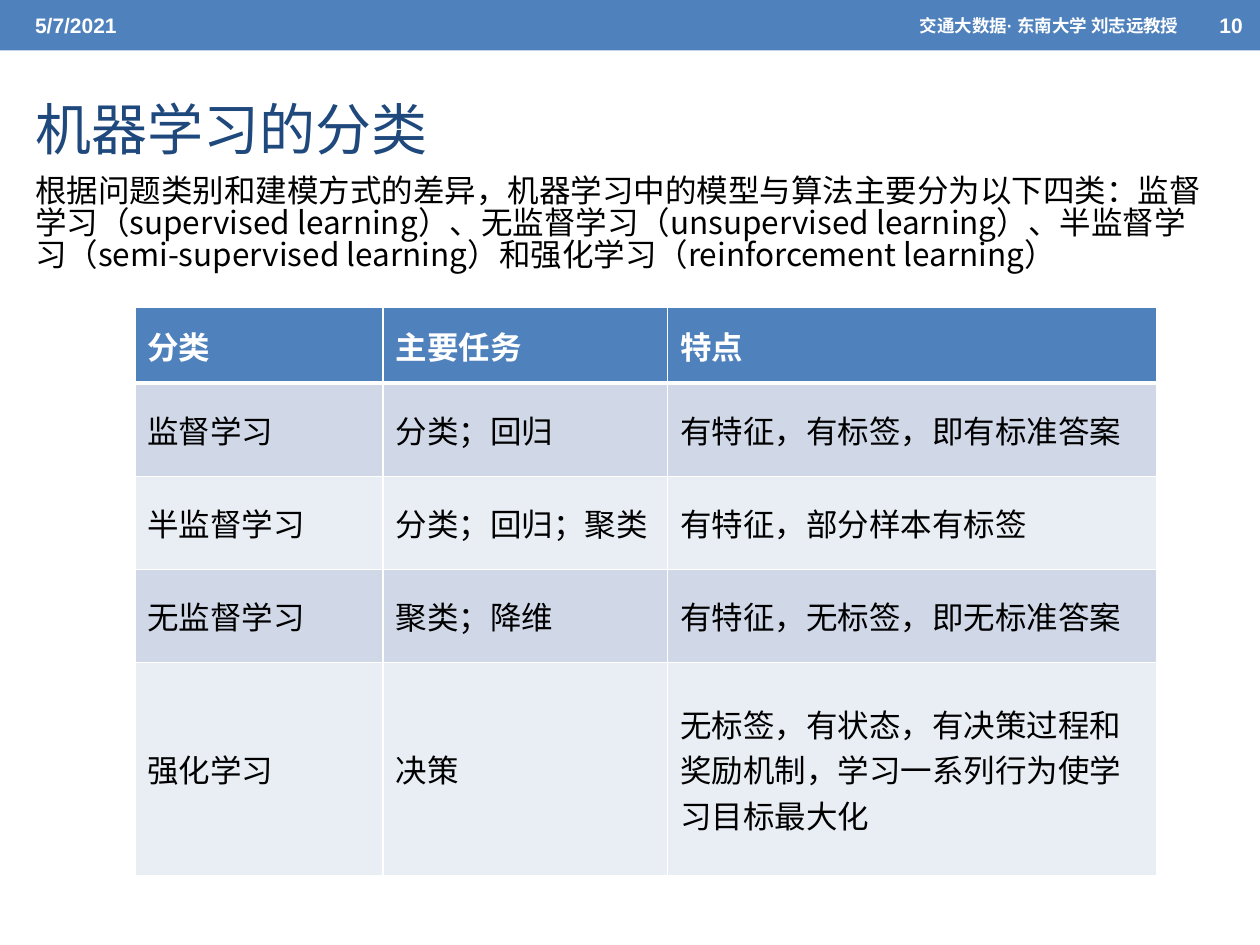
"""Build a slide that sorts machine learning into four classes."""
from lxml import etree
from pptx import Presentation
from pptx import util as u
from pptx.dml import color
from pptx.enum import shapes, text
from pptx.oxml import ns

CJK = "Noto Sans CJK SC"
BLUE, NAVY, WHITE, BLACK = "4F81BD", "1F497D", "FFFFFF", "000000"
BANDS = ("D0D8E8", "E9EDF4")
MID = text.MSO_ANCHOR.MIDDLE
LEFT, RIGHT = text.PP_ALIGN.LEFT, text.PP_ALIGN.RIGHT


def paint(part, hue):
    """Give a fill or font a solid hex colour."""
    fill = getattr(part, "fill", part)
    fill.solid()
    fill.fore_color.rgb = color.RGBColor.from_string(hue)


def write(frame, words, size=18, face=CJK, hue=BLACK, bold=False, align=LEFT, space=None):
    """Put formatted words in a text frame."""
    para = frame.paragraphs[0]
    para.alignment = align
    if space:
        para.line_spacing = space
    run = para.add_run()
    run.text = words
    font = run.font
    font.size, font.name, font.bold = u.Pt(size), face, bold
    paint(font, hue)
    east = etree.SubElement(run._r.get_or_add_rPr(), ns.qn("a:ea"))
    east.set("typeface", CJK)


def edge(cell, low):
    """Draw white cell borders, with the lower one in its own width."""
    props = cell._tc.get_or_add_tcPr()
    for spot, (side, wide) in enumerate((("L", 1), ("R", 1), ("T", 1), ("B", low))):
        line = etree.Element(ns.qn(f"a:ln{side}"), w=str(u.Pt(wide)))
        solid = etree.SubElement(line, ns.qn("a:solidFill"))
        etree.SubElement(solid, ns.qn("a:srgbClr"), val=WHITE)
        props.insert(spot, line)


class Deck:
    """Hold the file, the current slide and its element methods."""

    def __init__(self):
        """Start a file with one title slide."""
        self.prs = Presentation()
        self.prs.slide_width, self.prs.slide_height = u.Inches(10), u.Inches(7.5)
        self.slide = self.prs.slides.add_slide(self.prs.slide_layouts[5])

    def bar(self, box, hue):
        """Add a plain filled band."""
        band = self.slide.shapes.add_shape(shapes.MSO_SHAPE.RECTANGLE, *map(u.Inches, box))
        band.shadow.inherit = False
        paint(band, hue)
        band.line.fill.background()

    def title(self, box, words, **style):
        """Place and fill the title."""
        head = self.slide.shapes.title
        head.left, head.top, head.width, head.height = map(u.Inches, box)
        frame = head.text_frame
        frame.auto_size = text.MSO_AUTO_SIZE.NONE
        frame.vertical_anchor = MID
        write(frame, words, **style)

    def label(self, box, words, anchor=MID, **style):
        """Add a wrapped text box."""
        frame = self.slide.shapes.add_textbox(*map(u.Inches, box)).text_frame
        frame.word_wrap = True
        frame.vertical_anchor = anchor
        write(frame, words, **style)

    def table(self, box, cols, highs, rows):
        """Add a banded table with a header row."""
        grid = self.slide.shapes.add_table(len(rows), len(cols), *map(u.Inches, box)).table
        for col, wide in zip(grid.columns, cols):
            col.width = u.Inches(wide)
        for row, (line, high, words) in enumerate(zip(grid.rows, highs, rows)):
            line.height = u.Inches(high)
            top = row == 0
            for cell, word in zip(line.cells, words):
                cell.vertical_anchor = MID
                paint(cell, BLUE if top else BANDS[(row - 1) % 2])
                edge(cell, 3 if top else 1)
                write(cell.text_frame, word, hue=WHITE if top else BLACK, bold=top)


def main():
    """Build and save the slide."""
    deck = Deck()
    deck.bar((0, 0, 10, 0.4), BLUE)
    strip = dict(face="Arial", hue=WHITE, bold=True)
    deck.label((0.18, 0.02, 3.17, 0.36), "5/7/2021", size=12, **strip)
    deck.label((4.17, 0.02, 5.28, 0.36), "交通大数据· 东南大学 刘志远教授",
               size=10, align=RIGHT, **strip)
    deck.label((9.58, 0.02, 0.42, 0.36), "10", size=12, **strip)
    deck.title((0.18, 0.48, 9, 1.08), "机器学习的分类", size=32, hue=NAVY)
    deck.label((0.18, 1.36, 9.49, 1.01),
               "根据问题类别和建模方式的差异，机器学习中的模型与算法主要分为以下四类：监督 "
               "学习（supervised learning）、无监督学习（unsupervised learning）、"
               "半监督学习（semi-supervised learning）和强化学习（reinforcement learning）",
               anchor=text.MSO_ANCHOR.TOP, space=0.84)
    deck.table((1.07, 2.44, 8.11, 4.5), (1.97, 2.26, 3.88), (0.6, 0.74, 0.74, 0.74, 1.69), (
        ("分类", "主要任务", "特点"),
        ("监督学习", "分类；回归", "有特征，有标签，即有标准答案"),
        ("半监督学习", "分类；回归；聚类", "有特征，部分样本有标签"),
        ("无监督学习", "聚类；降维", "有特征，无标签，即无标准答案"),
        ("强化学习", "决策",
         "无标签，有状态，有决策过程和奖励机制，学习一系列行为使学习目标最大化"),
    ))
    deck.prs.save("out.pptx")


if __name__ == "__main__":
    main()
